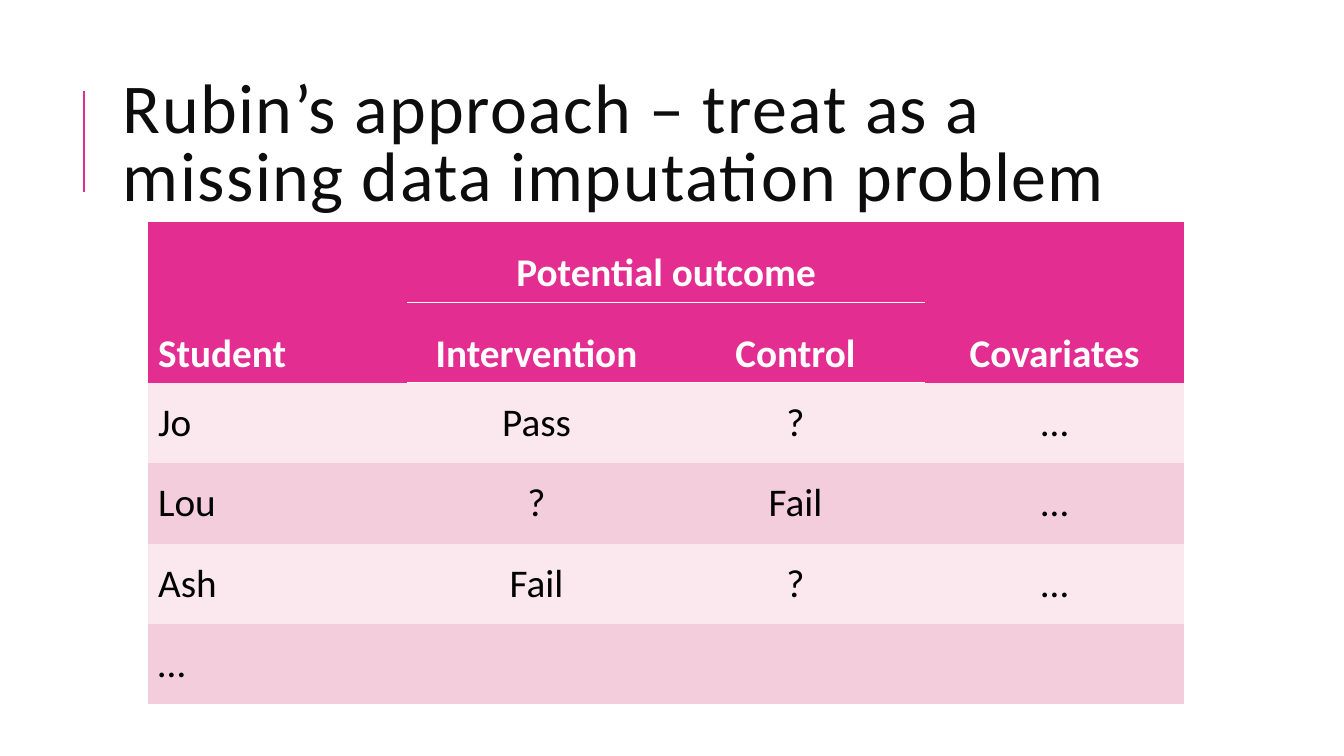
import lxml.etree
import pptx
import pptx.dml.color
import pptx.enum.shapes
import pptx.enum.text
import pptx.oxml.ns
import pptx.util

Pt = pptx.util.Pt
ALIGN = pptx.enum.text.PP_ALIGN
ANCHOR = pptx.enum.text.MSO_ANCHOR
FONT = "Calibri"
COLORS = {
    "accent": "E32D91",
    "title": "0D0D0D",
    "body": "000000",
    "white": "FFFFFF",
    "light_band": "FAE8EE",
    "dark_band": "F4CDDC",
}
NO_GRID_STYLE = "{2D5ABB26-0587-4C30-8999-92F81FD0307C}"
TITLE = "Rubin’s approach – treat as a missing data imputation problem"
HEADER_ROWS = 2
ROWS = [
    ["Student", "Potential outcome", "", "Covariates"],
    ["", "Intervention", "Control", ""],
    ["Jo", "Pass", "?", "…"],
    ["Lou", "?", "Fail", "…"],
    ["Ash", "Fail", "?", "…"],
    ["…", "", "", ""],
]
MERGES = [((0, 0), (1, 0)), ((0, 1), (0, 2)), ((0, 3), (1, 3))]
OUTCOME_COLUMNS = (1, 2)


def color(name):
    return pptx.dml.color.RGBColor.from_string(COLORS[name])


def style_font(font, size, color_name, bold=False):
    font.name = FONT
    font.size = Pt(size)
    font.bold = bold
    font.color.rgb = color(color_name)


def add_element(parent, tag, **attributes):
    return lxml.etree.SubElement(parent, pptx.oxml.ns.qn(tag), attributes)


def add_border(cell, tag):
    properties = cell._tc.get_or_add_tcPr()
    line = add_element(properties, tag, w=str(Pt(1)))
    properties.insert(0, line)
    fill = add_element(line, "a:solidFill")
    add_element(fill, "a:srgbClr", val=COLORS["white"])


def add_title(slide, left, top, width, height):
    rule_left = left - 20.75
    rule = slide.shapes.add_connector(
        pptx.enum.shapes.MSO_CONNECTOR.STRAIGHT,
        Pt(rule_left), Pt(top + 90.7), Pt(rule_left), Pt(top + 18.7))
    rule.line.color.rgb = color("accent")
    rule.line.width = Pt(1.5)
    add_element(rule._element.spPr, "a:effectLst")

    shape = slide.shapes.add_textbox(Pt(left), Pt(top), Pt(width), Pt(height))
    frame = shape.text_frame
    frame.word_wrap = True
    frame.vertical_anchor = ANCHOR.MIDDLE
    paragraph = frame.paragraphs[0]
    paragraph.line_spacing = 0.8
    run = paragraph.add_run()
    run.text = TITLE
    style_font(paragraph.font, 50, "title")
    run._r.get_or_add_rPr().set("spc", "100")


def fill_cell(cell, text, row, column):
    is_header = row < HEADER_ROWS
    band = "light_band" if row % 2 == 0 else "dark_band"
    cell.fill.solid()
    cell.fill.fore_color.rgb = color("accent" if is_header else band)
    cell.vertical_anchor = ANCHOR.BOTTOM if is_header else ANCHOR.MIDDLE
    cell.text = text
    paragraph = cell.text_frame.paragraphs[0]
    paragraph.alignment = ALIGN.CENTER if column else ALIGN.LEFT
    style_font(paragraph.font, 28, "white" if is_header else "body", is_header)


def add_outcome_table(slide, left, top, width, height):
    table = slide.shapes.add_table(
        len(ROWS), len(ROWS[0]), Pt(left), Pt(top), Pt(width), Pt(height)).table
    table._tbl.tblPr.find(pptx.oxml.ns.qn("a:tableStyleId")).text = NO_GRID_STYLE
    for column in table.columns:
        column.width = Pt(width / len(ROWS[0]))
    for row in table.rows:
        row.height = Pt(height / len(ROWS))
    for row, texts in enumerate(ROWS):
        for column, text in enumerate(texts):
            fill_cell(table.cell(row, column), text, row, column)
    for first, last in MERGES:
        table.cell(*first).merge(table.cell(*last))
    for column in OUTCOME_COLUMNS:
        add_border(table.cell(0, column), "a:lnB")
        add_border(table.cell(1, column), "a:lnT")


def main():
    presentation = pptx.Presentation()
    presentation.slide_width = Pt(960)
    presentation.slide_height = Pt(540)
    slide = presentation.slides.add_slide(presentation.slide_layouts[6])
    add_title(slide, 80.75, 46.3, 765, 118)
    add_outcome_table(slide, 105.75, 158.5, 740, 344.7)
    presentation.save("out.pptx")


if __name__ == "__main__":
    main()
